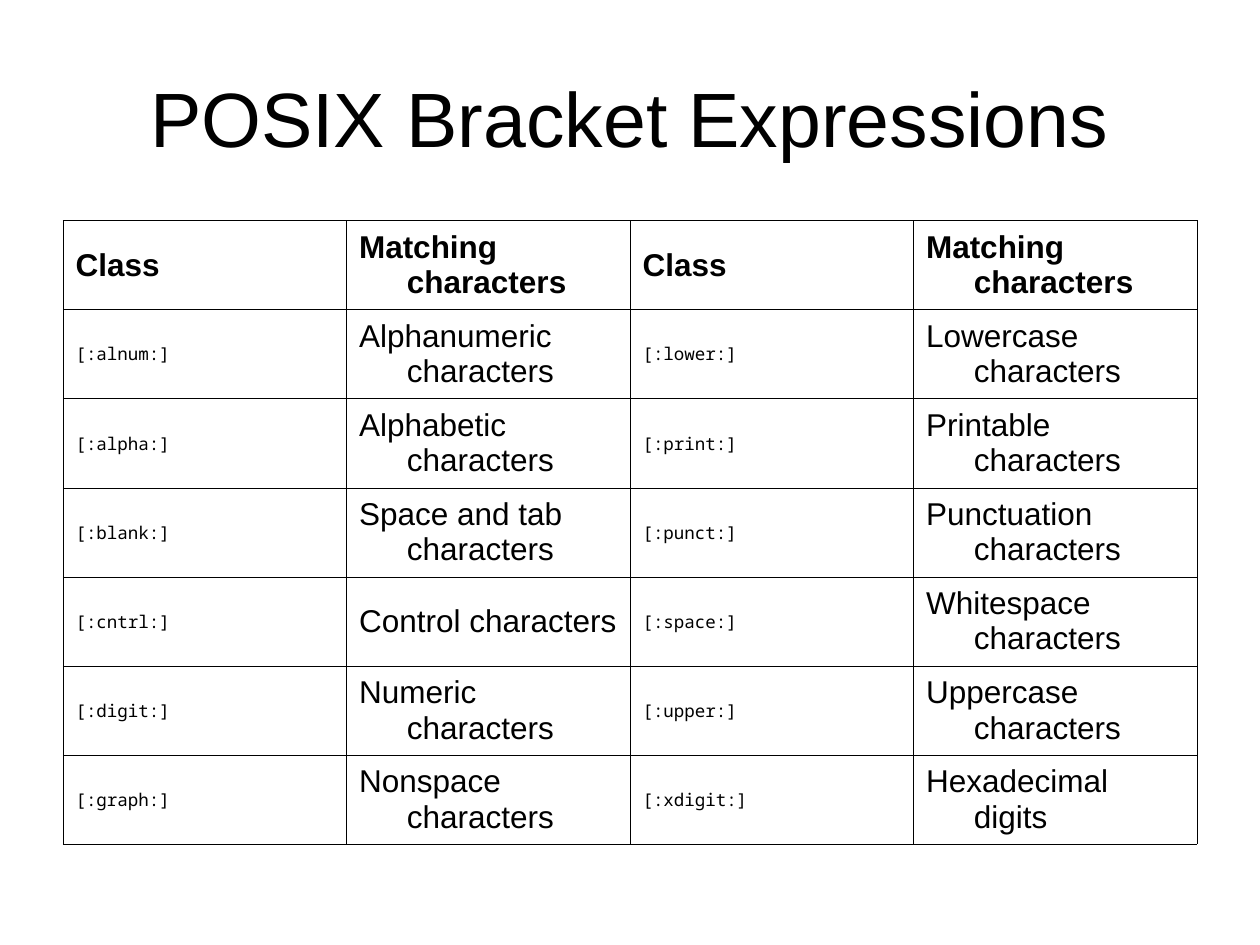
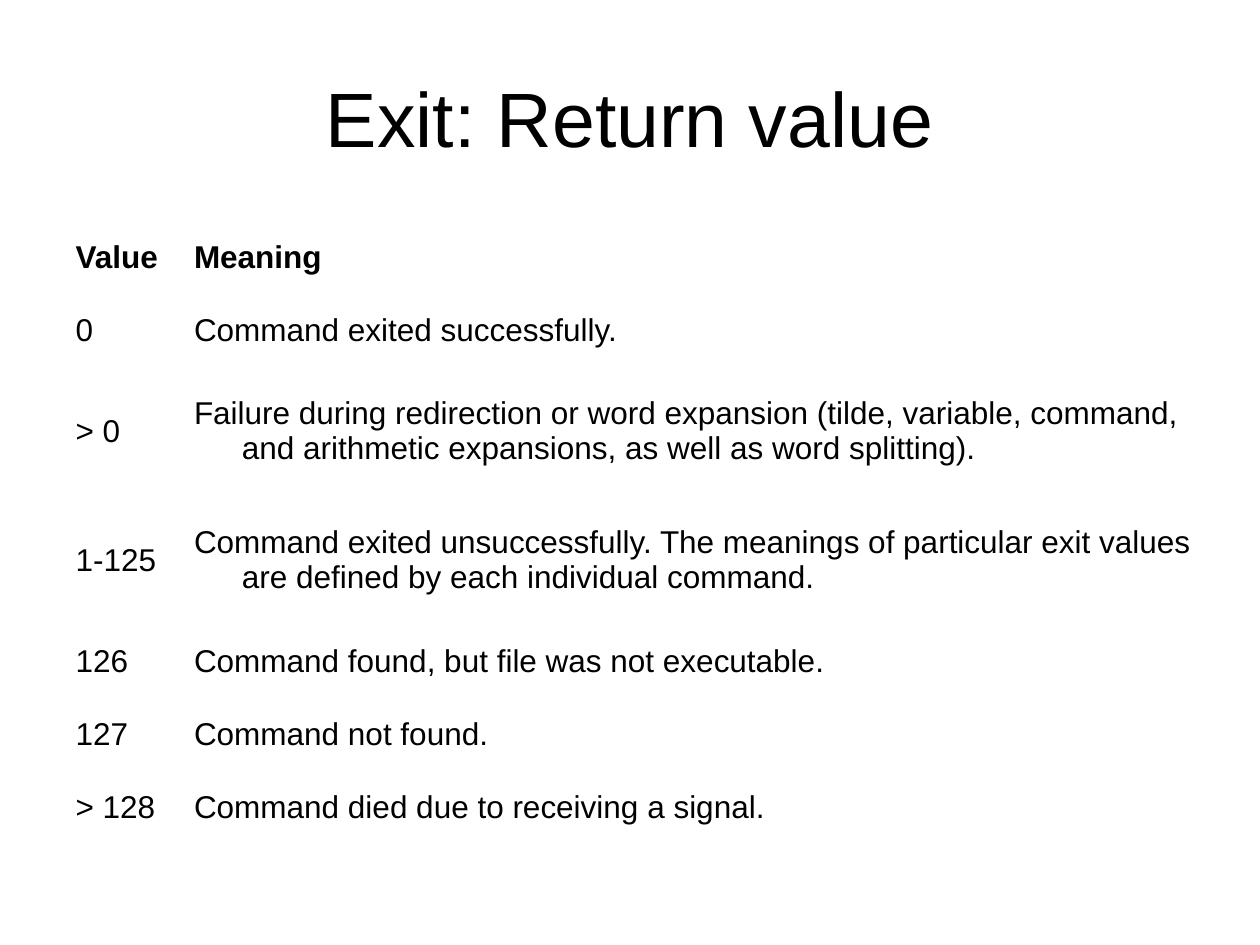
"""Build two reference slides: POSIX bracket expressions and exit return values."""
from lxml.etree import SubElement as add_element
from pptx import Presentation
from pptx.dml.color import RGBColor
from pptx.enum.text import MSO_ANCHOR as Anchor, MSO_AUTO_SIZE as AutoSize, PP_ALIGN as Align
from pptx.oxml.ns import qn
from pptx.util import Inches, Pt

COLORS = {"text": "000000", "border": "000000", "background": "FFFFFF"}
BODY_FONT = "Arial"
CODE_FONT = "Noto Sans Mono"
GRID_COLUMNS, GRID_ROWS = 20, 150
TITLE_ONLY = 5

BRACKET_HEADER = ["Class", "Matching characters"] * 2
BRACKET_ROWS = [
    ["[:alnum:]", "Alphanumeric characters", "[:lower:]", "Lowercase characters"],
    ["[:alpha:]", "Alphabetic characters", "[:print:]", "Printable characters"],
    ["[:blank:]", "Space and tab characters", "[:punct:]", "Punctuation characters"],
    ["[:cntrl:]", "Control characters", "[:space:]", "Whitespace characters"],
    ["[:digit:]", "Numeric characters", "[:upper:]", "Uppercase characters"],
    ["[:graph:]", "Nonspace characters", "[:xdigit:]", "Hexadecimal digits"],
]

EXIT_HEADER = ["Value", "Meaning"]
EXIT_ROWS = [
    ["0", "Command exited successfully."],
    ["> 0", "Failure during redirection or word expansion (tilde, variable, command, "
            "and arithmetic expansions, as well as word splitting)."],
    ["1-125", "Command exited unsuccessfully. The meanings of particular exit values "
              "are defined by each individual command."],
    ["126", "Command found, but file was not executable."],
    ["127", "Command not found."],
    ["> 128", "Command died due to receiving a signal."],
]


def write_text(frame, text, size=18, font=BODY_FONT, bold=False, align=Align.LEFT, hanging=0):
    """Write one formatted paragraph into a text frame."""
    paragraph = frame.paragraphs[0]
    paragraph.alignment = align
    if hanging:
        properties = paragraph._p.get_or_add_pPr()
        properties.set("marL", str(Inches(hanging)))
        properties.set("indent", str(-Inches(hanging)))
    run = paragraph.add_run()
    run.text = text
    run.font.size = Pt(size)
    run.font.name = font
    run.font.bold = bold
    run.font.color.rgb = RGBColor.from_string(COLORS["text"])


def set_borders(cell, width):
    """Draw all four borders of a cell, or hide them when the width is zero."""
    properties = cell._tc.get_or_add_tcPr()
    for position, side in enumerate(("lnL", "lnR", "lnT", "lnB")):
        line = add_element(properties, qn(f"a:{side}"), w=str(Pt(width)))
        properties.insert(position, line)
        if width:
            fill = add_element(line, qn("a:solidFill"))
            add_element(fill, qn("a:srgbClr"), val=COLORS["border"])
        else:
            add_element(line, qn("a:noFill"))


class Deck:
    """Hold the shared style and the current slide."""

    def __init__(self):
        """Start an empty presentation with its grid."""
        self.presentation = Presentation()
        self.presentation.slide_width = Inches(10)
        self.presentation.slide_height = Inches(7.5)
        self.slide = None

    def across(self, columns):
        """Turn grid columns into a length."""
        return round(self.presentation.slide_width * columns / GRID_COLUMNS)

    def down(self, rows):
        """Turn grid rows into a length."""
        return round(self.presentation.slide_height * rows / GRID_ROWS)

    def add_slide(self, title):
        """Add a slide with the shared background and title style."""
        layout = self.presentation.slide_layouts[TITLE_ONLY]
        self.slide = self.presentation.slides.add_slide(layout)
        background = self.slide.background.fill
        background.solid()
        background.fore_color.rgb = RGBColor.from_string(COLORS["background"])
        shape = self.slide.shapes.title
        shape.left, shape.top = self.across(1), self.down(6)
        shape.width, shape.height = self.across(18), self.down(25)
        frame = shape.text_frame
        frame.word_wrap = True
        frame.auto_size = AutoSize.NONE
        frame.vertical_anchor = Anchor.MIDDLE
        write_text(frame, title, size=44, align=Align.CENTER)

    def add_table(self, header, body, column_widths, row_shares, border=0, code_columns=()):
        """Add a table with a bold header, sharing out a fixed height among its rows."""
        rows = [header, *body]
        height = self.down(99)
        shape = self.slide.shapes.add_table(
            len(rows), len(header), self.across(1), self.down(35),
            self.across(sum(column_widths)), height)
        table = shape.table
        table.first_row = table.horz_banding = False
        for column, width in zip(table.columns, column_widths):
            column.width = self.across(width)
        for row, share in zip(table.rows, row_shares):
            row.height = round(height * share / sum(row_shares))
        for row_index, texts in enumerate(rows):
            for column_index, text in enumerate(texts):
                cell = table.cell(row_index, column_index)
                cell.vertical_anchor = Anchor.MIDDLE
                cell.fill.background()
                set_borders(cell, border)
                is_header = row_index == 0
                is_code = not is_header and column_index in code_columns
                write_text(cell.text_frame, text, size=10 if is_code else 18,
                           font=CODE_FONT if is_code else BODY_FONT,
                           bold=is_header, hanging=0.38)


def main():
    """Build and save both slides."""
    deck = Deck()
    deck.add_slide("POSIX Bracket Expressions")
    deck.add_table(BRACKET_HEADER, BRACKET_ROWS, column_widths=[4.5] * 4,
                   row_shares=[1] * 7, border=0.34, code_columns=(0, 2))
    deck.add_slide("Exit: Return value")
    deck.add_table(EXIT_HEADER, EXIT_ROWS, column_widths=[1.88, 16.46],
                   row_shares=[0.58, 0.58, 1.02, 1.02, 0.58, 0.58, 0.58])
    deck.presentation.save("out.pptx")


if __name__ == "__main__":
    main()
